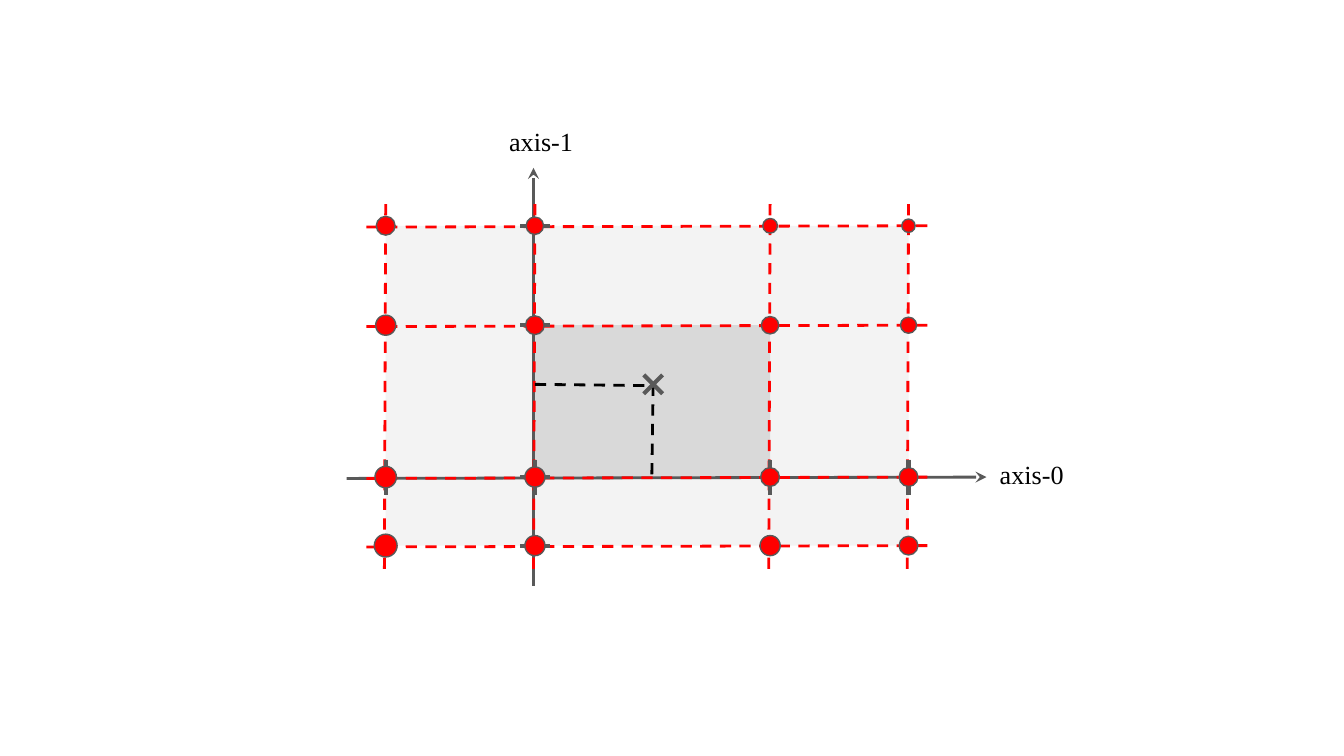
from dataclasses import dataclass

from lxml.etree import SubElement
from pptx import Presentation
from pptx.dml.color import RGBColor as Color
from pptx.enum.dml import MSO_LINE as Dash
from pptx.enum.shapes import MSO_CONNECTOR as Connector, MSO_SHAPE as Shape
from pptx.oxml.ns import qn
from pptx.util import Inches, Pt


@dataclass(frozen=True)
class Theme:
    """Colours, font and sizes used on the slide."""
    ink: Color = Color(0x00, 0x00, 0x00)
    axis: Color = Color(0x59, 0x59, 0x59)
    knot: Color = Color(0xFF, 0x00, 0x00)
    domain: Color = Color(0xF3, 0xF3, 0xF3)
    cell: Color = Color(0xD9, 0xD9, 0xD9)
    font: str = "Times New Roman"
    label: float = 14
    thin: float = 0.75
    line: float = 1.5
    thick: float = 2.25


THEME = Theme()
SLIDE_WIDTH = 10
SLIDE_HEIGHT = SLIDE_WIDTH * 9 / 16
COLUMNS = (2.87, 3.98, 5.73, 6.76)
ROWS = (1.68, 2.42, 3.55, 4.06)
ORIGIN_COLUMN, ORIGIN_ROW = 1, 2
DOT_SIZES = (
    (0.14, 0.13, 0.11, 0.10),
    (0.15, 0.14, 0.13, 0.12),
    (0.16, 0.15, 0.14, 0.14),
    (0.17, 0.15, 0.15, 0.14),
)
GRID_LEFT, GRID_RIGHT = 2.7, 6.9
GRID_TOP, GRID_BOTTOM = 1.52, 4.29
TILT = 0.01
TICK_X, TICK_Y = 0.11, 0.13
SAMPLE = (4.86, 2.86)
CROSS = 0.07


def add_line(page, start, end, color, width=THEME.line, dashed=False, arrow=False):
    """Draw a straight line, optionally dashed or with an arrowhead at its end."""
    line = page.shapes.add_connector(Connector.STRAIGHT, *map(Inches, (*start, *end)))
    line.line.color.rgb = color
    line.line.width = Pt(width)
    if dashed:
        line.line.dash_style = Dash.DASH
    properties = line._element.spPr
    if arrow:
        SubElement(properties.find(qn("a:ln")), qn("a:tailEnd"), type="stealth")
    SubElement(properties, qn("a:effectLst"))


def add_filled(page, kind, left, top, width, height, color):
    """Add a flat filled shape without an outline."""
    shape = page.shapes.add_shape(kind, *map(Inches, (left, top, width, height)))
    shape.shadow.inherit = False
    shape.fill.solid()
    shape.fill.fore_color.rgb = color
    shape.line.fill.background()
    return shape


def add_region(page, first, last, color):
    """Shade the area between two grid points, each a (column, row) pair."""
    left, top = COLUMNS[first[0]], ROWS[first[1]]
    width, height = COLUMNS[last[0]] - left, ROWS[last[1]] - top
    add_filled(page, Shape.RECTANGLE, left, top, width, height, color)


def add_dot(page, x, y, size):
    """Add an outlined grid point centred on a position."""
    dot = add_filled(page, Shape.OVAL, x - size / 2, y - size / 2, size, size, THEME.knot)
    dot.line.color.rgb = THEME.axis
    dot.line.width = Pt(THEME.thin)


def add_label(page, text, left, top):
    """Add an axis label."""
    box = page.shapes.add_textbox(*map(Inches, (left, top, 1.33, 0.44)))
    frame = box.text_frame
    frame.word_wrap = True
    frame.margin_left = frame.margin_right = Inches(0.1)
    frame.margin_top = frame.margin_bottom = Inches(0.1)
    para = frame.paragraphs[0]
    para.text = text
    para.font.name = THEME.font
    para.font.size = Pt(THEME.label)
    para.font.color.rgb = THEME.ink


def add_axes(page):
    """Draw both coordinate axes."""
    add_line(page, (2.58, 3.56), (7.34, 3.55), THEME.axis, arrow=True)
    add_line(page, (3.97, 4.36), (3.97, 1.25), THEME.axis, arrow=True)


def add_grid(page):
    """Draw the dashed grid lines."""
    for x in COLUMNS:
        add_line(page, (x, GRID_TOP), (x - TILT, GRID_BOTTOM), THEME.knot, dashed=True)
    for y in ROWS:
        add_line(page, (GRID_RIGHT, y), (GRID_LEFT, y + TILT), THEME.knot, dashed=True)


def add_sample(page):
    """Mark the sample point and its projections onto the axes."""
    x, y = SAMPLE
    add_line(page, (COLUMNS[ORIGIN_COLUMN], y), (x, y + TILT), THEME.ink, dashed=True)
    add_line(page, (x - TILT, 3.53), SAMPLE, THEME.ink, dashed=True)
    for rise in (CROSS, -CROSS):
        add_line(page, (x - CROSS, y - rise), (x + CROSS, y + rise), THEME.axis, THEME.thick)


def add_ticks(page):
    """Draw the axis ticks at every grid line."""
    x, y = COLUMNS[ORIGIN_COLUMN], ROWS[ORIGIN_ROW]
    for row in ROWS:
        add_line(page, (x - TICK_X, row), (x + TICK_X, row), THEME.axis, THEME.thick)
    for column in COLUMNS:
        add_line(page, (column, y - TICK_Y), (column, y + TICK_Y), THEME.axis, THEME.thick)


def add_dots(page):
    """Place a dot on every grid point."""
    for y, sizes in zip(ROWS, DOT_SIZES):
        for x, size in zip(COLUMNS, sizes):
            add_dot(page, x, y, size)


def main():
    """Build the slide and save the deck."""
    deck = Presentation()
    deck.slide_width, deck.slide_height = Inches(SLIDE_WIDTH), Inches(SLIDE_HEIGHT)
    page = deck.slides.add_slide(deck.slide_layouts[6])
    add_region(page, (0, 0), (3, 3), THEME.domain)
    add_region(page, (1, 1), (2, 2), THEME.cell)
    add_axes(page)
    add_grid(page)
    add_sample(page)
    add_ticks(page)
    add_dots(page)
    add_label(page, "axis-0", 7.34, 3.31)
    add_label(page, "axis-1", 3.69, 0.83)
    deck.save("out.pptx")


if __name__ == "__main__":
    main()
